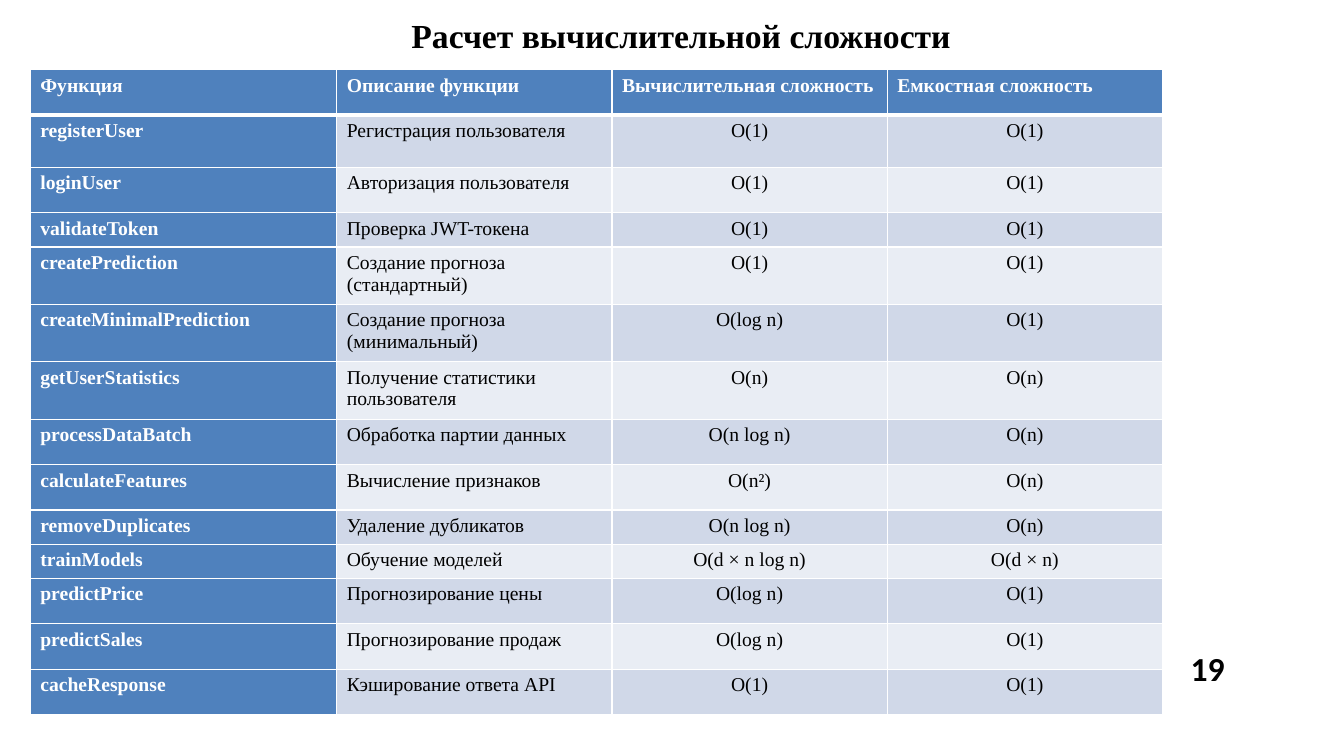
import pptx
import pptx.dml.color
import pptx.enum.text
import pptx.oxml
import pptx.oxml.ns
import pptx.util

RGB = pptx.dml.color.RGBColor
BLACK = RGB(0x00, 0x00, 0x00)
WHITE = RGB(0xFF, 0xFF, 0xFF)
BLUE = RGB(0x4F, 0x81, 0xBD)
BANDS = RGB(0xD0, 0xD8, 0xE8), RGB(0xE9, 0xED, 0xF4)
SERIF = "Times New Roman"
LEFT = pptx.enum.text.PP_ALIGN.LEFT
MID = pptx.enum.text.PP_ALIGN.CENTER
GROW = pptx.enum.text.MSO_AUTO_SIZE.SHAPE_TO_FIT_TEXT
COLS, ROWS = 133.3, 75

HEADS = ["Функция", "Описание функции", "Вычислительная сложность", "Емкостная сложность"]
COSTS = [
    (5.2, "registerUser", "Регистрация пользователя", "O(1)", "O(1)"),
    (4.5, "loginUser", "Авторизация пользователя", "O(1)", "O(1)"),
    (3.4, "validateToken", "Проверка JWT-токена", "O(1)", "O(1)"),
    (5.7, "createPrediction", "Создание прогноза (стандартный)", "O(1)", "O(1)"),
    (5.7, "createMinimalPrediction", "Создание прогноза (минимальный)", "O(log n)", "O(1)"),
    (5.7, "getUserStatistics", "Получение статистики пользователя", "O(n)", "O(n)"),
    (4.5, "processDataBatch", "Обработка партии данных", "O(n log n)", "O(n)"),
    (4.5, "calculateFeatures", "Вычисление признаков", "O(n²)", "O(n)"),
    (3.4, "removeDuplicates", "Удаление дубликатов", "O(n log n)", "O(n)"),
    (3.4, "trainModels", "Обучение моделей", "O(d × n log n)", "O(d × n)"),
    (4.5, "predictPrice", "Прогнозирование цены", "O(log n)", "O(1)"),
    (4.5, "predictSales", "Прогнозирование продаж", "O(log n)", "O(1)"),
    (4.5, "cacheResponse", "Кэширование ответа API", "O(1)", "O(1)"),
]


class Deck:
    """Holds the slide, its grid and the text style."""

    def __init__(self, width, height):
        self.deck = pptx.Presentation()
        self.deck.slide_width = pptx.util.Inches(width)
        self.deck.slide_height = pptx.util.Inches(height)
        self.slide = self.deck.slides.add_slide(self.deck.slide_layouts[6])

    def across(self, cols):
        return round(self.deck.slide_width * cols / COLS)

    def down(self, rows):
        return round(self.deck.slide_height * rows / ROWS)

    def place(self, left, top, width, height):
        return self.across(left), self.down(top), self.across(width), self.down(height)

    def label(self, frame, words, color, align=LEFT, size=14, bold=False, face=SERIF):
        line = frame.paragraphs[0]
        line.text = words
        line.alignment = align
        style = {"name": face, "size": pptx.util.Pt(size), "bold": bold}
        for key, value in style.items():
            setattr(line.font, key, value)
        line.font.color.rgb = color
        return line

    def text(self, spot, words, inset, **style):
        frame = self.slide.shapes.add_textbox(*self.place(*spot)).text_frame
        layout = {"word_wrap": True, "auto_size": GROW, "margin_left": self.across(inset),
                  "margin_top": 0, "margin_right": 0, "margin_bottom": 0}
        for key, value in layout.items():
            setattr(frame, key, value)
        return self.label(frame, words, BLACK, size=24, bold=True, **style)

    def edge(self, cell, side, width):
        name = pptx.oxml.ns.nsdecls("a")
        cell._tc.get_or_add_tcPr().append(pptx.oxml.parse_xml(
            f'<a:{side} {name} w="{pptx.util.Pt(width)}"><a:solidFill>'
            f'<a:srgbClr val="{WHITE}"/></a:solidFill></a:{side}>'))

    def cell(self, cell, words, row, col):
        for side in ("lnL", "lnR", "lnT", "lnB"):
            self.edge(cell, side, 3 if (side, row) in (("lnB", 0), ("lnT", 1)) else 1)
        head = row == 0 or col == 0
        cell.fill.solid()
        cell.fill.fore_color.rgb = BLUE if head else BANDS[(row - 1) % 2]
        align = MID if row and col > 1 else LEFT
        self.label(cell.text_frame, words, WHITE if head else BLACK, align, bold=head)

    def table(self, left, top, widths, heights, lines):
        spot = self.place(left, top, sum(widths), sum(heights))
        table = self.slide.shapes.add_table(len(heights), len(widths), *spot).table
        for col, width in zip(table.columns, widths):
            col.width = self.across(width)
        for row, (height, line) in enumerate(zip(heights, lines)):
            table.rows[row].height = self.down(height)
            for col, words in enumerate(line):
                self.cell(table.cell(row, col), words, row, col)


def main():
    deck = Deck(13.33, 7.5)
    deck.text((21.6, 1.5, 89.5, 4.1), "Расчет вычислительной сложности", 2.4, align=MID)
    page = deck.text((117.7, 65, 7.6, 3.3), "19", 0.4, face="Calibri")
    page.line_spacing = pptx.util.Pt(23.8)
    heights = [4.5] + [cost[0] for cost in COSTS]
    lines = [HEADS] + [cost[1:] for cost in COSTS]
    deck.table(3, 6.9, [30.4] + [27.3] * 3, heights, lines)
    deck.deck.save("out.pptx")


if __name__ == "__main__":
    main()
